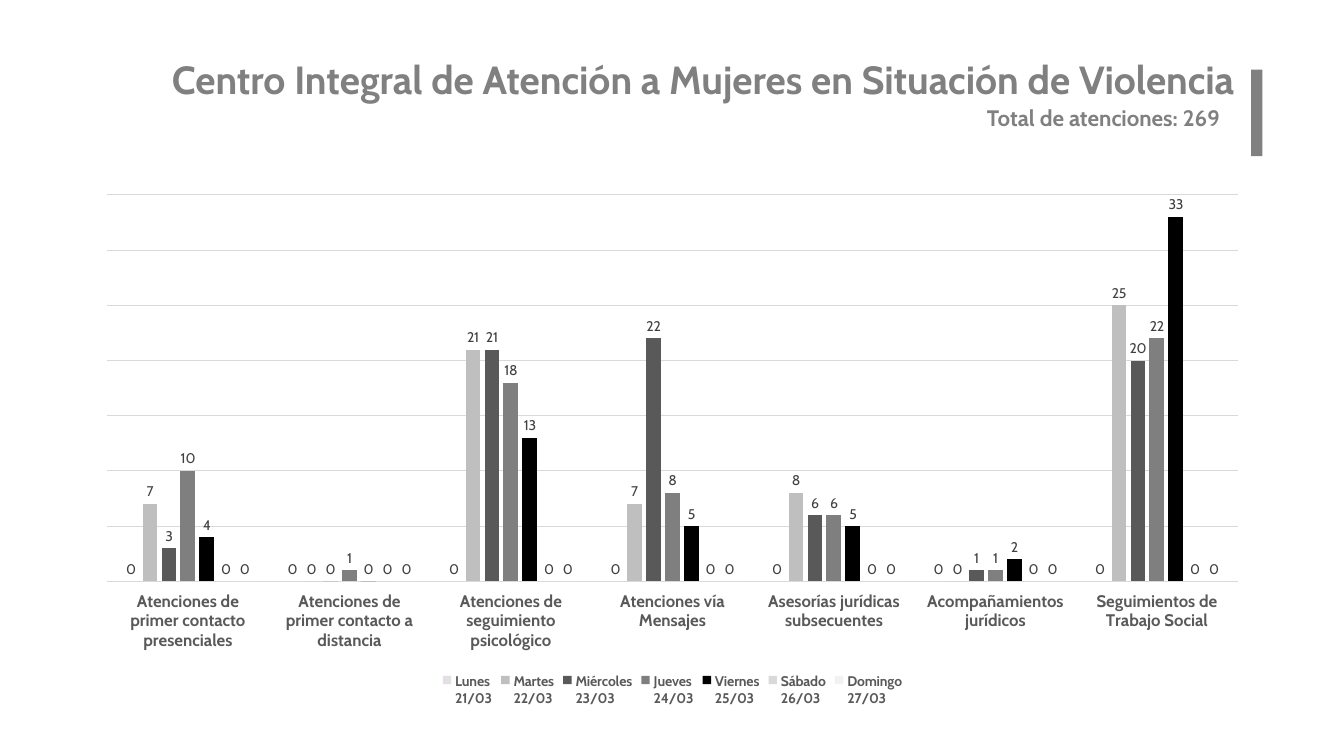
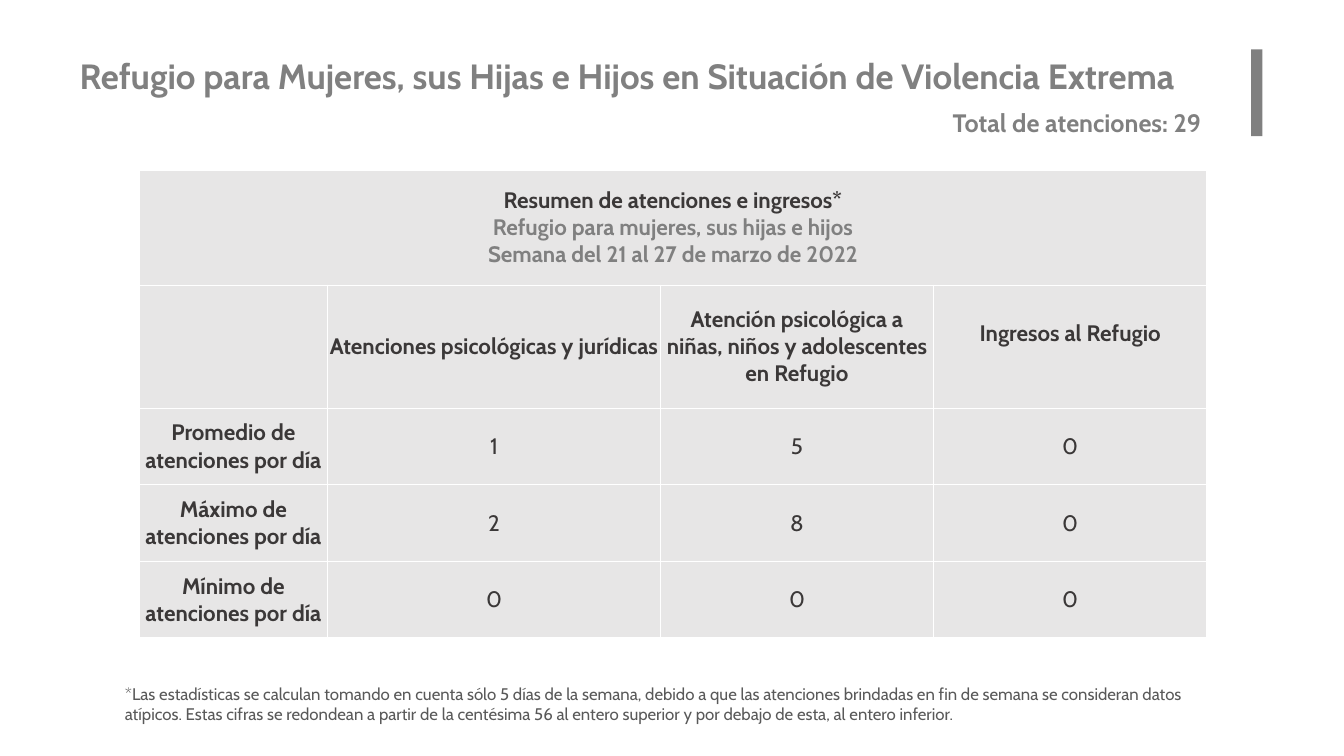
from lxml.etree import SubElement
from pptx import Presentation
from pptx.chart.data import CategoryChartData as ChartData
from pptx.dml.color import RGBColor
from pptx.enum.chart import XL_CHART_TYPE as ChartType
from pptx.enum.chart import XL_LABEL_POSITION as LabelPosition
from pptx.enum.chart import XL_LEGEND_POSITION as LegendPosition
from pptx.enum.chart import XL_TICK_LABEL_POSITION as TickLabels
from pptx.enum.chart import XL_TICK_MARK as TickMark
from pptx.enum.shapes import MSO_SHAPE as Shape
from pptx.enum.text import MSO_ANCHOR as Anchor
from pptx.enum.text import MSO_AUTO_SIZE as AutoSize
from pptx.enum.text import PP_ALIGN as Align
from pptx.oxml.ns import qn
from pptx.util import Inches, Pt

FONT = "Cabin"
GRAY, INK, TEXT, LABEL = "808080", "3B3838", "595959", "404040"
RULE, CELL, WHITE, BLACK = "D9D9D9", "E7E6E6", "FFFFFF", "000000"

CATEGORIES = [
    "Atenciones de primer contacto presenciales",
    "Atenciones de primer contacto a distancia",
    "Atenciones de seguimiento psicológico",
    "Atenciones vía Mensajes",
    "Asesorías jurídicas subsecuentes",
    "Acompañamientos jurídicos",
    "Seguimientos de Trabajo Social",
]
DAYS = [
    ("Lunes\n21/03", [0, 0, 0, 0, 0, 0, 0], "E3DFE5"),
    ("Martes\n22/03", [7, 0, 21, 7, 8, 0, 25], "BFBFBF"),
    ("Miércoles\n23/03", [3, 0, 21, 22, 6, 1, 20], "595959"),
    ("Jueves\n24/03", [10, 1, 18, 8, 6, 1, 22], "7F7F7F"),
    ("Viernes\n25/03", [4, 0, 13, 5, 5, 2, 33], "000000"),
    ("Sábado\n26/03", [0, 0, 0, 0, 0, 0, 0], "D9D9D9"),
    ("Domingo\n27/03", [0, 0, 0, 0, 0, 0, 0], "F2F2F2"),
]
SUMMARY_TITLE = [
    ("Resumen de atenciones e ingresos*", INK),
    ("Refugio para mujeres, sus hijas e hijos", GRAY),
    ("Semana del 21 al 27 de marzo de 2022", GRAY),
]
SUMMARY_ROWS = [
    ["", "Atenciones psicológicas y jurídicas",
     "Atención psicológica a niñas, niños y adolescentes en Refugio",
     "Ingresos al Refugio"],
    ["Promedio de atenciones por día", "1", "5", "0"],
    ["Máximo de atenciones por día", "2", "8", "0"],
    ["Mínimo de atenciones por día", "0", "0", "0"],
]
FOOTNOTE = (
    "*Las estadísticas se calculan tomando en cuenta sólo 5 días de la semana, "
    "debido a que las atenciones brindadas en fin de semana se consideran datos "
    "atípicos. Estas cifras se redondean a partir de la centésima 56 al entero "
    "superior y por debajo de esta, al entero inferior."
)


def color(value):
    """Turn a hex string into a colour."""
    return RGBColor.from_string(value)


def style(font, size, ink, bold=False):
    """Apply the deck font with a size, colour and weight."""
    font.name, font.size, font.bold = FONT, Pt(size), bold
    font.color.rgb = color(ink)


def write(para, text, size=16, ink=GRAY, bold=True, align=Align.LEFT):
    """Write one formatted run into a paragraph."""
    para.alignment = align
    span = para.add_run()
    span.text = text
    style(span.font, size, ink, bold)


def set_margins(holder, left=0, top=0, right=0, bottom=0):
    """Set the inner margins of a cell or text frame in inches."""
    holder.margin_left, holder.margin_right = Inches(left), Inches(right)
    holder.margin_top, holder.margin_bottom = Inches(top), Inches(bottom)


def add_borders(cell):
    """Draw thin white borders around a table cell."""
    properties = cell._tc.get_or_add_tcPr()
    for side in ("a:lnL", "a:lnR", "a:lnT", "a:lnB"):
        line = SubElement(properties, qn(side), w=str(Pt(1)))
        fill = SubElement(line, qn("a:solidFill"))
        SubElement(fill, qn("a:srgbClr"), val=WHITE)


class Report:
    """Hold the deck, its style and the current page."""

    def __init__(self):
        """Start an empty widescreen deck."""
        self.deck = Presentation()
        self.deck.slide_width, self.deck.slide_height = Inches(13.33), Inches(7.5)
        self.page = None

    def add_page(self, title, place, bar_top, size, align=Align.LEFT, inset=0.1):
        """Add a page with its title and the gray side bar."""
        self.page = self.deck.slides.add_slide(self.deck.slide_layouts[5])
        box = self.page.shapes.title
        box.left, box.top, box.width, box.height = map(Inches, place)
        frame = box.text_frame
        frame.auto_size, frame.word_wrap = AutoSize.NONE, True
        frame.vertical_anchor = Anchor.TOP
        set_margins(frame, inset, inset / 2, inset, inset / 2)
        write(frame.paragraphs[0], title, size, align=align)
        bar = self.page.shapes.add_shape(
            Shape.RECTANGLE, Inches(12.41), Inches(bar_top), Inches(0.11), Inches(0.86))
        bar.shadow.inherit = False
        bar.fill.solid()
        bar.fill.fore_color.rgb = color(GRAY)
        bar.line.fill.background()

    def add_text(self, text, place, **look):
        """Add a wrapping text box."""
        frame = self.page.shapes.add_textbox(*map(Inches, place)).text_frame
        frame.word_wrap = True
        write(frame.paragraphs[0], text, **look)

    def add_columns(self, categories, series, place):
        """Add a clustered column chart with value labels."""
        data = ChartData()
        data.categories = categories
        for name, values, _ in series:
            data.add_series(name, values)
        chart = self.page.shapes.add_chart(
            ChartType.COLUMN_CLUSTERED, *map(Inches, place), data).chart
        style(chart.font, 10, BLACK)
        chart.has_title = False
        chart.has_legend = True
        chart.legend.position = LegendPosition.BOTTOM
        chart.legend.include_in_layout = False
        style(chart.legend.font, 10, TEXT, True)

        axis = chart.category_axis
        axis.major_tick_mark = axis.minor_tick_mark = TickMark.NONE
        axis.tick_label_position = TickLabels.LOW
        style(axis.tick_labels.font, 12, TEXT, True)
        scale = chart.value_axis
        scale.visible = False
        scale.minimum_scale, scale.maximum_scale, scale.major_unit = 0, 35, 5
        scale.has_major_gridlines = True
        for line in (axis.format.line, scale.major_gridlines.format.line):
            line.color.rgb, line.width = color(RULE), Pt(0.75)

        plot = chart.plots[0]
        plot.gap_width, plot.overlap, plot.vary_by_categories = 219, -27, False
        for bars, (_, _, fill) in zip(plot.series, series):
            bars.format.fill.solid()
            bars.format.fill.fore_color.rgb = color(fill)
            labels = bars.data_labels
            labels.show_value, labels.position = True, LabelPosition.OUTSIDE_END
            style(labels.font, 10, LABEL)

    def add_summary(self, heading, rows, place, widths, heights):
        """Add a table with a merged heading row."""
        table = self.page.shapes.add_table(
            len(heights), len(widths), *map(Inches, place)).table
        table.first_row = table.horz_banding = False
        for column, width in zip(table.columns, widths):
            column.width = Inches(width)
        for row, height in zip(table.rows, heights):
            row.height = Inches(height)
        for cell in table.iter_cells():
            set_margins(cell)
            cell.vertical_anchor = Anchor.MIDDLE
            add_borders(cell)
            cell.fill.solid()
            cell.fill.fore_color.rgb = color(CELL)

        top = table.cell(0, 0)
        top.merge(table.cell(0, len(widths) - 1))
        frame = top.text_frame
        for index, (text, ink) in enumerate(heading):
            para = frame.add_paragraph() if index else frame.paragraphs[0]
            write(para, text, ink=ink, align=Align.CENTER)
        for r, texts in enumerate(rows, 1):
            for c, text in enumerate(texts):
                if text:
                    write(table.cell(r, c).text_frame.paragraphs[0], text, ink=INK,
                          bold=r == 1 or c == 0, align=Align.CENTER)
        set_margins(table.cell(1, len(widths) - 1), bottom=0.27)


def main():
    """Build the weekly report and save it."""
    report = Report()
    report.add_page("Centro Integral de Atención a Mujeres en Situación de Violencia",
                    (0.63, 0.45, 11.81, 0.87), 0.69, 28, Align.RIGHT, 0.2)
    report.add_text("Total de atenciones: 269", (9.69, 0.98, 2.85, 0.37))
    report.add_columns(CATEGORIES, DAYS, (0.83, 1.83, 11.68, 5.22))

    report.add_page(
        "Refugio para Mujeres, sus Hijas e Hijos en Situación de Violencia Extrema",
        (0.69, 0.49, 11.72, 0.52), 0.49, 25)
    report.add_text("Total de atenciones: 29", (9.35, 1.02, 3.06, 0.4), size=18)
    report.add_summary(SUMMARY_TITLE, SUMMARY_ROWS, (1.38, 1.69, 10.58, 4.64),
                       [1.87, 3.3, 2.71, 2.71], [1.14, 1.22] + [0.76] * 3)
    report.add_text(FOOTNOTE, (1.14, 6.73, 11.05, 0.5), size=12, ink=TEXT, bold=False)
    report.deck.save("out.pptx")


if __name__ == "__main__":
    main()
